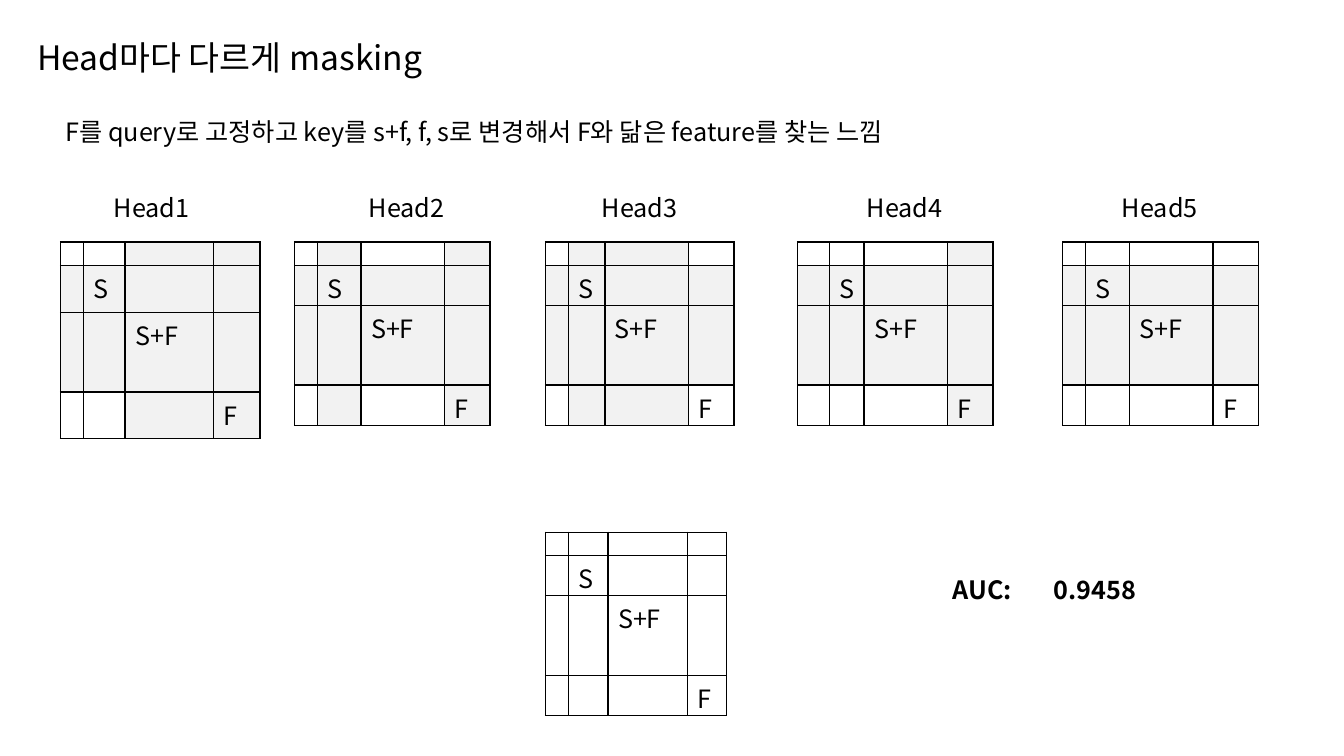
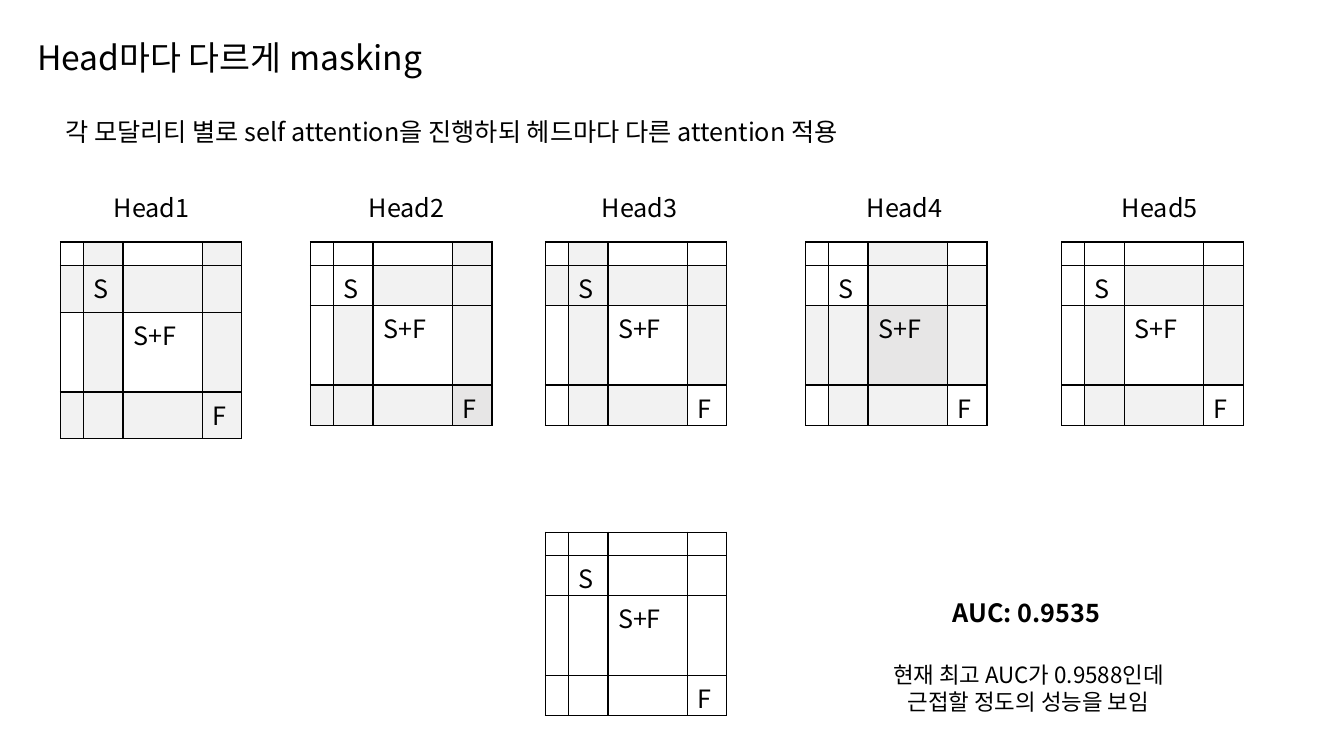
from dataclasses import dataclass

from lxml import etree
from pptx import Presentation
from pptx.dml.color import RGBColor
from pptx.enum.text import MSO_ANCHOR, PP_ALIGN
from pptx.oxml.ns import qn
from pptx.util import Inches, Pt

FONT = "Noto Sans CJK KR"
BLACK = RGBColor(0x00, 0x00, 0x00)
WHITE = RGBColor(0xFF, 0xFF, 0xFF)
LIGHT = RGBColor(0xF2, 0xF2, 0xF2)
GRAY = RGBColor(0xE7, 0xE6, 0xE6)
SHADES = {".": WHITE, "x": LIGHT, "#": GRAY}

TITLE = "Head마다 다르게 masking"
TOKENS = {1: "S", 2: "S+F", 3: "F"}  # placed on the diagonal
EVEN_COLUMNS = (0.23, 0.39, 0.79, 0.39)
EVEN_ROWS = (0.23, 0.4, 0.79, 0.4)
TALL_ROWS = (0.23, 0.47, 0.79, 0.46)
HEAD_TOP = 2.4
LABEL_TOP = 1.86
LABEL_LEFTS = (1.03, 3.56, 5.87, 8.5, 11.03)


@dataclass(frozen=True)
class Mask:
    """An attention grid; each word of shading is a row, each letter a cell."""
    left: float
    shading: str
    columns: tuple[float, ...] = EVEN_COLUMNS
    rows: tuple[float, ...] = EVEN_ROWS
    top: float = HEAD_TOP


@dataclass(frozen=True)
class Note:
    left: float
    top: float
    width: float
    height: float
    lines: tuple[str, ...]
    size: float = 18
    bold: bool = False
    align: PP_ALIGN = PP_ALIGN.LEFT


@dataclass(frozen=True)
class Experiment:
    summary: str
    heads: tuple[Mask, ...]
    results: tuple[Note, ...]


UNMASKED = Mask(5.41, ".... .... .... ....", top=5.28)

EXPERIMENTS = (
    Experiment(
        "F를 query로 고정하고 key를 s+f, f, s로 변경해서 F와 닮은 feature를 찾는 느낌",
        (
            Mask(0.6, "..xx xxxx xxxx ..xx", (0.23, 0.41, 0.88, 0.46), TALL_ROWS),
            Mask(2.92, ".x.x xxxx xxxx .x.x", (0.23, 0.43, 0.83, 0.45)),
            Mask(5.41, ".xx. xxxx xxxx .xx.", (0.23, 0.36, 0.83, 0.45)),
            Mask(7.91, "...x xxxx xxxx ...x", (0.32, 0.34, 0.83, 0.45)),
            Mask(10.54, ".... xxxx xxxx ....", (0.23, 0.43, 0.83, 0.45)),
        ),
        (Note(9.35, 5.65, 2.85, 0.4, ("AUC:\t0.9458",), bold=True),),
    ),
    Experiment(
        "각 모달리티 별로 self attention을 진행하되 헤드마다 다른 attention 적용",
        (
            Mask(0.6, ".x.x xxxx .x.x xxxx", rows=TALL_ROWS),
            Mask(3.08, "...x ..xx .x.x xxx#"),
            Mask(5.41, ".x.. xxxx .x.x .xx."),
            Mask(7.99, "..x. ..xx xx#x .xx."),
            Mask(10.53, ".... ..xx .x.x .xx."),
        ),
        (
            Note(9.35, 5.88, 2.85, 0.4, ("AUC: 0.9535",), bold=True),
            Note(8.03, 6.51, 4.34, 0.64,
                 ("현재 최고 AUC가 0.9588인데", "근접할 정도의 성능을 보임"),
                 size=16, align=PP_ALIGN.CENTER),
        ),
    ),
)


def style_paragraph(paragraph, size: float, bold: bool = False) -> None:
    """Set one font for Latin and Korean text alike."""
    font = paragraph.font
    font.size, font.bold, font.name = Pt(size), bold, FONT
    font.color.rgb = BLACK
    defaults = paragraph._p.pPr.find(qn("a:defRPr"))
    defaults.find(qn("a:latin")).addnext(
        etree.Element(qn("a:ea"), typeface=FONT))


def add_title(slide) -> None:
    title = slide.shapes.title
    title.left, title.top = Inches(0.27), Inches(-0.13)
    title.width, title.height = Inches(11.5), Inches(1.45)
    title.text_frame.text = TITLE
    title.text_frame.vertical_anchor = MSO_ANCHOR.MIDDLE
    paragraph = title.text_frame.paragraphs[0]
    paragraph.alignment = PP_ALIGN.LEFT
    paragraph.line_spacing = 0.9
    style_paragraph(paragraph, 24)


def add_note(slide, note: Note) -> None:
    box = slide.shapes.add_textbox(Inches(note.left), Inches(note.top),
                                   Inches(note.width), Inches(note.height))
    frame = box.text_frame
    frame.word_wrap = True
    frame.text = "\n".join(note.lines)
    for paragraph in frame.paragraphs:
        paragraph.alignment = note.align
        style_paragraph(paragraph, note.size, note.bold)


def add_borders(cell) -> None:
    properties = cell._tc.get_or_add_tcPr()
    for side in ("a:lnL", "a:lnR", "a:lnT", "a:lnB"):
        line = etree.SubElement(properties, qn(side), w=str(Pt(1)))
        fill = etree.SubElement(line, qn("a:solidFill"))
        etree.SubElement(fill, qn("a:srgbClr"), val=str(BLACK))


def fill_cell(cell, shade: RGBColor, token: str) -> None:
    add_borders(cell)
    cell.fill.solid()
    cell.fill.fore_color.rgb = shade
    cell.margin_top, cell.margin_bottom = Inches(0.04), 0
    cell.margin_right = 0
    paragraph = cell.text_frame.paragraphs[0]
    if token:
        paragraph.text = token
        style_paragraph(paragraph, 18)
    else:
        # A small end mark keeps empty cells from stretching the thin row.
        etree.SubElement(paragraph._p, qn("a:endParaRPr"), sz="600")


def add_mask(slide, mask: Mask) -> None:
    table = slide.shapes.add_table(
        len(mask.rows), len(mask.columns), Inches(mask.left), Inches(mask.top),
        Inches(sum(mask.columns)), Inches(sum(mask.rows))).table
    table.first_row = table.horz_banding = False
    for column, width in zip(table.columns, mask.columns):
        column.width = Inches(width)
    for row, height in zip(table.rows, mask.rows):
        row.height = Inches(height)
    for r, shades in enumerate(mask.shading.split()):
        for c, shade in enumerate(shades):
            token = TOKENS.get(r, "") if r == c else ""
            fill_cell(table.cell(r, c), SHADES[shade], token)


def add_experiment(prs, experiment: Experiment) -> None:
    slide = prs.slides.add_slide(prs.slide_layouts.get_by_name("Title Only"))
    add_title(slide)
    add_note(slide, Note(0.55, 1.11, 11.22, 0.4, (experiment.summary,)))
    for number, (left, mask) in enumerate(zip(LABEL_LEFTS, experiment.heads), 1):
        add_note(slide, Note(left, LABEL_TOP, 1.7, 0.4, (f"Head{number}",)))
        add_mask(slide, mask)
    add_mask(slide, UNMASKED)
    for note in experiment.results:
        add_note(slide, note)


def main() -> None:
    prs = Presentation()
    prs.slide_width, prs.slide_height = Inches(13.33), Inches(7.5)
    for experiment in EXPERIMENTS:
        add_experiment(prs, experiment)
    prs.save("out.pptx")


if __name__ == "__main__":
    main()
